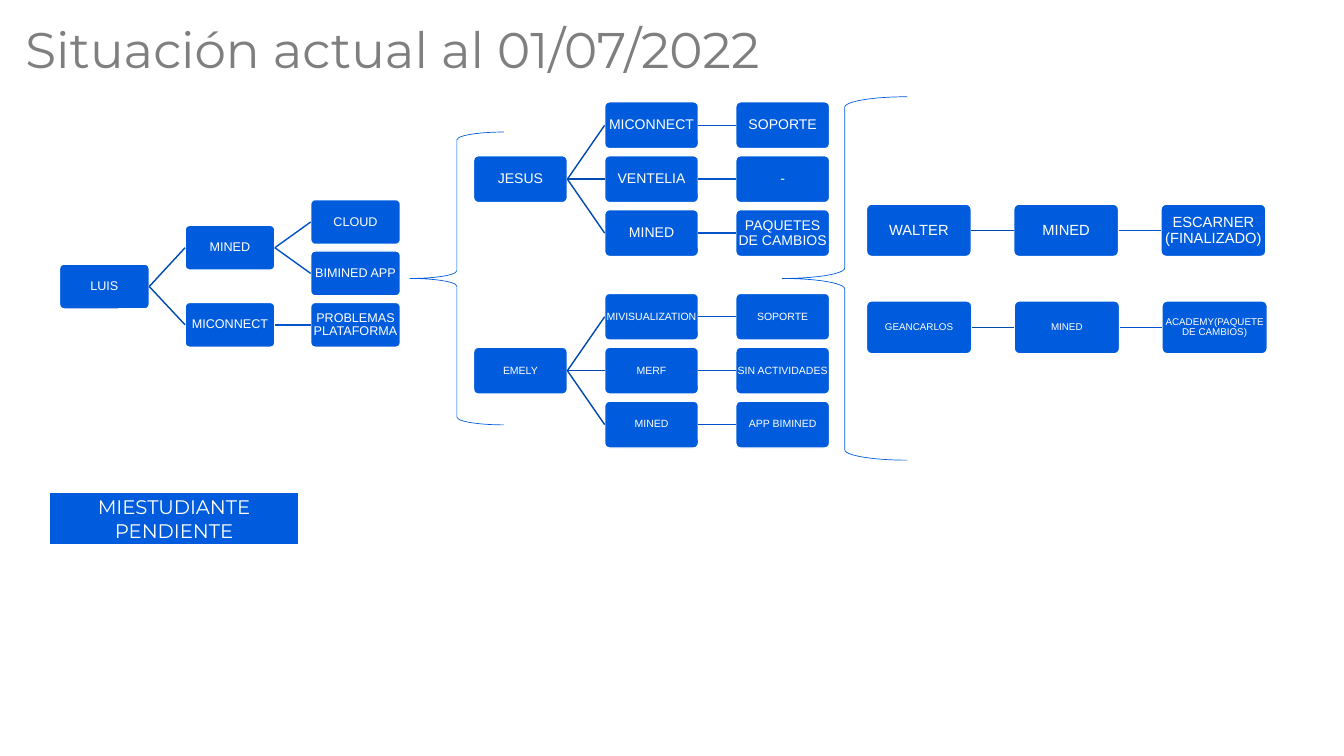
from dataclasses import dataclass, field
from typing import Any

from pptx import Presentation
from pptx import util as u
from pptx.dml.color import RGBColor
from pptx.enum import shapes, text
from pptx.oxml import parse_xml
from pptx.oxml.ns import nsdecls

PX = 9144  # EMU per px, 100 px to the inch
COLORS = {
    "blue": "005CDC",
    "first_link": "004AB0",
    "next_link": "0053C8",
    "white": "FFFFFF",
    "gray": "7F7F7F",
}


def color(name):
    return RGBColor.from_string(COLORS[name])


@dataclass
class Tree:
    """Boxes that grow to the right, one row for each leaf."""
    left: int
    top: int
    width: int
    height: int
    column_step: int
    row_step: int
    size: int
    root: tuple
    next_row: int = field(default=0, init=False)


@dataclass
class Painter:
    page: Any
    heading_font: str = "Montserrat"
    box_font: str = "Arial"

    def label(self, shape, words, size, font, ink, inset, spacing=None,
              anchor=text.MSO_ANCHOR.MIDDLE):
        frame = shape.text_frame
        frame.word_wrap = True
        frame.vertical_anchor = anchor
        frame.margin_left = frame.margin_right = inset * PX
        frame.margin_top = frame.margin_bottom = inset * PX
        para = frame.paragraphs[0]
        para.text = words
        para.alignment = text.PP_ALIGN.CENTER
        para.line_spacing = spacing
        para.font.size = u.Pt(size)
        para.font.name = font
        para.font.color.rgb = color(ink)

    def shape(self, kind, left, top, width, height, line, weight, fill=None):
        shape = self.page.shapes.add_shape(
            kind, left * PX, top * PX, width * PX, height * PX)
        shape.shadow.inherit = False
        shape.line.color.rgb = color(line)
        shape.line.width = u.Pt(weight)
        if fill:
            shape.fill.solid()
            shape.fill.fore_color.rgb = color(fill)
        else:
            shape.fill.background()
        return shape

    def title(self, words, left, top, width, height):
        box = self.page.shapes.add_textbox(
            left * PX, top * PX, width * PX, height * PX)
        self.label(box, words, 71.5, self.heading_font, "gray", 5, 0.8,
                   text.MSO_ANCHOR.BOTTOM)

    def banner(self, words, left, top, width, height):
        box = self.shape(shapes.MSO_SHAPE.RECTANGLE, left, top, width, height,
                         "white", 3, "blue")
        self.label(box, words, 28, self.heading_font, "white", 5)

    def brace(self, left, top, width, height):
        self.shape(shapes.MSO_SHAPE.LEFT_BRACE, left, top, width, height,
                   "blue", 1)

    def link(self, parent, child, ink):
        link = self.page.shapes.add_connector(
            shapes.MSO_CONNECTOR.STRAIGHT, 0, 0, 0, 0)
        link.begin_connect(parent, 3)
        link.end_connect(child, 1)
        link.line.color.rgb = color(ink)
        link.line.width = u.Pt(2)
        link._element.spPr.append(
            parse_xml(f"<a:effectLst {nsdecls('a')}/>"))

    def branch(self, tree, node, level=0):
        """Draw a node after its children, centred on them; return box and row."""
        words, *children = node
        drawn = [self.branch(tree, child, level + 1) for child in children]
        if drawn:
            row = sum(child_row for _, child_row in drawn) / len(drawn)
        else:
            row = tree.next_row
            tree.next_row += 1
        box = self.shape(
            shapes.MSO_SHAPE.ROUNDED_RECTANGLE,
            tree.left + level * tree.column_step,
            tree.top + round(row * tree.row_step),
            tree.width, tree.height, "white", 2, "blue")
        box.adjustments[0] = 0.1
        self.label(box, words, tree.size, self.box_font, "white", 1, 0.9)
        for child, _ in drawn:
            self.link(box, child, "next_link" if level else "first_link")
        return box, row


TREES = [
    Tree(939, 202, 186, 93, 260, 107, 20,
         ("JESUS",
          ("MICONNECT", ("SOPORTE",)),
          ("VENTELIA", ("-",)),
          ("MINED", ("PAQUETES DE CAMBIOS",)))),
    Tree(939, 582, 186, 93, 260, 107, 15,
         ("EMELY",
          ("MIVISUALIZATION", ("SOPORTE",)),
          ("MERF", ("SIN ACTIVIDADES",)),
          ("MINED", ("APP BIMINED",)))),
    Tree(1718, 405, 208, 104, 292, 0, 21,
         ("WALTER", ("MINED", ("ESCARNER (FINALIZADO)",)))),
    Tree(1718, 597, 209, 105, 293, 0, 14,
         ("GEANCARLOS", ("MINED", ("ACADEMY(PAQUETE DE CAMBIOS)",)))),
    Tree(118, 396, 178, 89, 249, 102, 18,
         ("LUIS",
          ("MINED", ("CLOUD",), ("BIMINED APP",)),
          ("MICONNECT", ("PROBLEMAS PLATAFORMA",)))),
]


def main():
    deck = Presentation()
    deck.slide_width, deck.slide_height = 2665 * PX, 1500 * PX
    painter = Painter(deck.slides.add_slide(deck.slide_layouts[6]))
    for tree in TREES:
        painter.branch(tree, tree.root)
    painter.brace(1551, 192, 248, 721)
    painter.brace(813, 262, 186, 581)
    painter.banner("MIESTUDIANTE PENDIENTE", 97, 977, 496, 104)
    painter.title("Situación actual al 01/07/2022", -6, 51, 1569, 109)
    deck.save("out.pptx")


if __name__ == "__main__":
    main()
